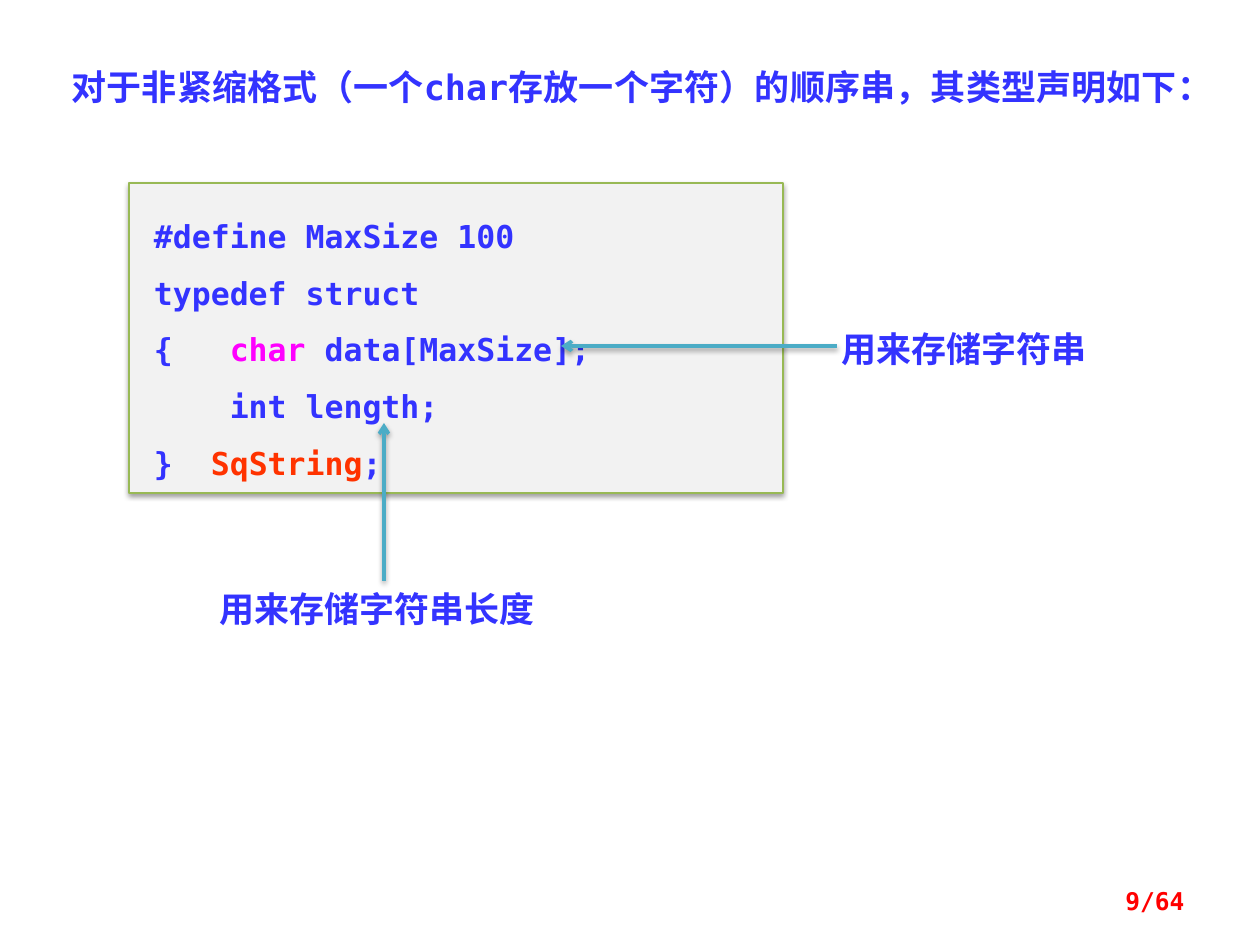
from dataclasses import dataclass

from lxml import etree
from pptx import Presentation
from pptx.dml.color import RGBColor
from pptx.enum.shapes import MSO_CONNECTOR, MSO_SHAPE
from pptx.enum.text import MSO_ANCHOR, MSO_AUTO_SIZE, PP_ALIGN
from pptx.oxml.ns import qn
from pptx.util import Emu, Pt

EMU_PER_PX = 914400 / 126
MONO, CJK = "DejaVu Sans Mono", "Noto Sans CJK SC"
BLUE, MAGENTA, ORANGE, RED = "3333FF", "FF00FF", "FF3300", "FF0000"
PANEL_FILL, PANEL_LINE, ARROW_COLOUR = "F2F2F2", "98B955", "4BACC6"
LEFT, RIGHT, JUSTIFY = PP_ALIGN.LEFT, PP_ALIGN.RIGHT, PP_ALIGN.JUSTIFY
TOP, MIDDLE = MSO_ANCHOR.TOP, MSO_ANCHOR.MIDDLE
FIT_SHAPE = MSO_AUTO_SIZE.SHAPE_TO_FIT_TEXT
RECTANGLE, STRAIGHT = MSO_SHAPE.RECTANGLE, MSO_CONNECTOR.STRAIGHT


@dataclass
class Label:
    text: str
    left: int
    top: int
    width: int
    height: int
    font: str = CJK
    size: int = 20
    colour: str = BLUE
    align: PP_ALIGN = LEFT
    anchor: MSO_ANCHOR = TOP


@dataclass
class Arrow:
    start: tuple[int, int]
    end: tuple[int, int]


LABELS = [
    Label("对于非紧缩格式（一个char存放一个字符）的顺序串，其类型声明如下：",
          59, 59, 1131, 55, font=MONO, align=JUSTIFY),
    Label("用来存储字符串", 829, 321, 325, 55),
    Label("用来存储字符串长度", 207, 581, 444, 55),
    Label("9/64", 903, 876, 294, 50, MONO, 14, RED, RIGHT, MIDDLE),
]
CODE_LINES = [
    [("#define MaxSize 100", BLUE)],
    [("typedef struct", BLUE)],
    [("{   ", BLUE), ("char ", MAGENTA), ("data[MaxSize];", BLUE)],
    [("    int length;", BLUE)],
    [("}  ", BLUE), ("SqString", ORANGE), (";", BLUE)],
]
ARROWS = [Arrow((384, 581), (384, 423)), Arrow((837, 346), (561, 346))]


def px(length: int) -> Emu:
    return Emu(round(length * EMU_PER_PX))


def rgb(colour: str) -> RGBColor:
    return RGBColor.from_string(colour)


def set_font(para, name: str, size: int) -> None:
    """Set a bold font on the paragraph, with the East Asian face beside it."""
    para.font.name = name
    para.font.size = Pt(size)
    para.font.bold = True
    properties = para._p.get_or_add_pPr().find(qn("a:defRPr"))
    etree.SubElement(properties, qn("a:ea"), typeface=CJK)


def add_span(para, text: str, colour: str) -> None:
    span = para.add_run()
    span.text = text
    span.font.color.rgb = rgb(colour)


def add_shadow(shape) -> None:
    properties = shape._element.spPr
    for old in properties.findall(qn("a:effectLst")):
        properties.remove(old)
    effects = etree.SubElement(properties, qn("a:effectLst"))
    shadow = etree.SubElement(
        effects, qn("a:outerShdw"), blurRad=str(Pt(3.1)), dist=str(Pt(1.6)),
        dir="5400000", rotWithShape="0")
    black = etree.SubElement(shadow, qn("a:srgbClr"), val="000000")
    etree.SubElement(black, qn("a:alpha"), val="38000")


def add_label(page, label: Label) -> None:
    box = page.shapes.add_textbox(
        px(label.left), px(label.top), px(label.width), px(label.height))
    frame = box.text_frame
    frame.word_wrap = True
    frame.vertical_anchor = label.anchor
    if label.anchor == TOP:
        frame.auto_size = FIT_SHAPE
    para = frame.paragraphs[0]
    para.alignment = label.align
    set_font(para, label.font, label.size)
    add_span(para, label.text, label.colour)


def add_code_panel(page) -> None:
    panel = page.shapes.add_shape(RECTANGLE, px(129), px(183), px(654), px(310))
    panel.fill.solid()
    panel.fill.fore_color.rgb = rgb(PANEL_FILL)
    panel.line.color.rgb = rgb(PANEL_LINE)
    panel.line.width = Pt(0.75)
    add_shadow(panel)
    frame = panel.text_frame
    frame.word_wrap = True
    frame.auto_size = FIT_SHAPE
    frame.vertical_anchor = TOP
    frame.margin_left = frame.margin_right = px(25)
    frame.margin_top = frame.margin_bottom = px(15)
    for index, spans in enumerate(CODE_LINES):
        para = frame.add_paragraph() if index else frame.paragraphs[0]
        para.alignment = LEFT
        para.line_spacing = 1.5
        set_font(para, MONO, 18)
        for text, colour in spans:
            add_span(para, text, colour)


def add_arrow(page, arrow: Arrow) -> None:
    line = page.shapes.add_connector(
        STRAIGHT, *map(px, arrow.start), *map(px, arrow.end))
    line.line.color.rgb = rgb(ARROW_COLOUR)
    line.line.width = Pt(2)
    etree.SubElement(line.line._get_or_add_ln(), qn("a:tailEnd"), type="arrow")
    add_shadow(line)


def main() -> None:
    deck = Presentation()
    deck.slide_width, deck.slide_height = px(1260), px(945)
    page = deck.slides.add_slide(deck.slide_layouts[6])
    add_code_panel(page)
    for label in LABELS:
        add_label(page, label)
    for arrow in ARROWS:
        add_arrow(page, arrow)
    deck.save("out.pptx")


if __name__ == "__main__":
    main()
